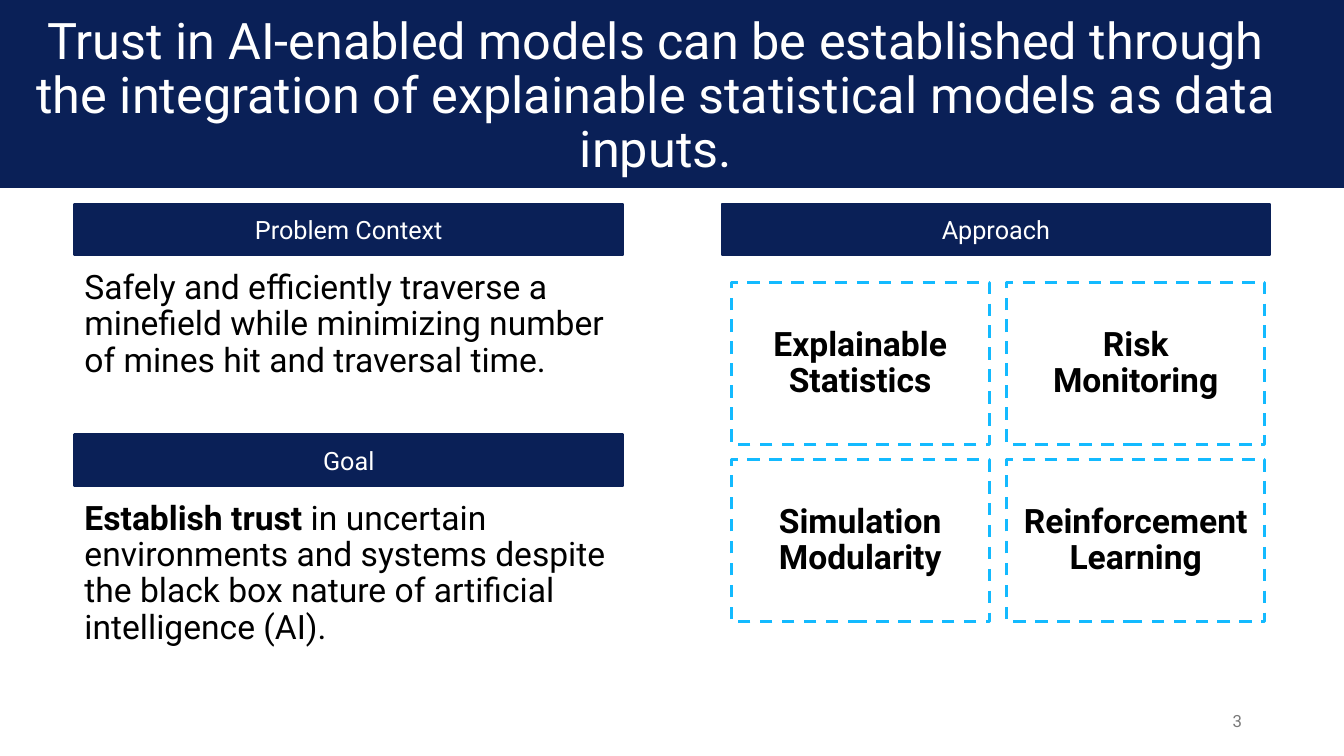
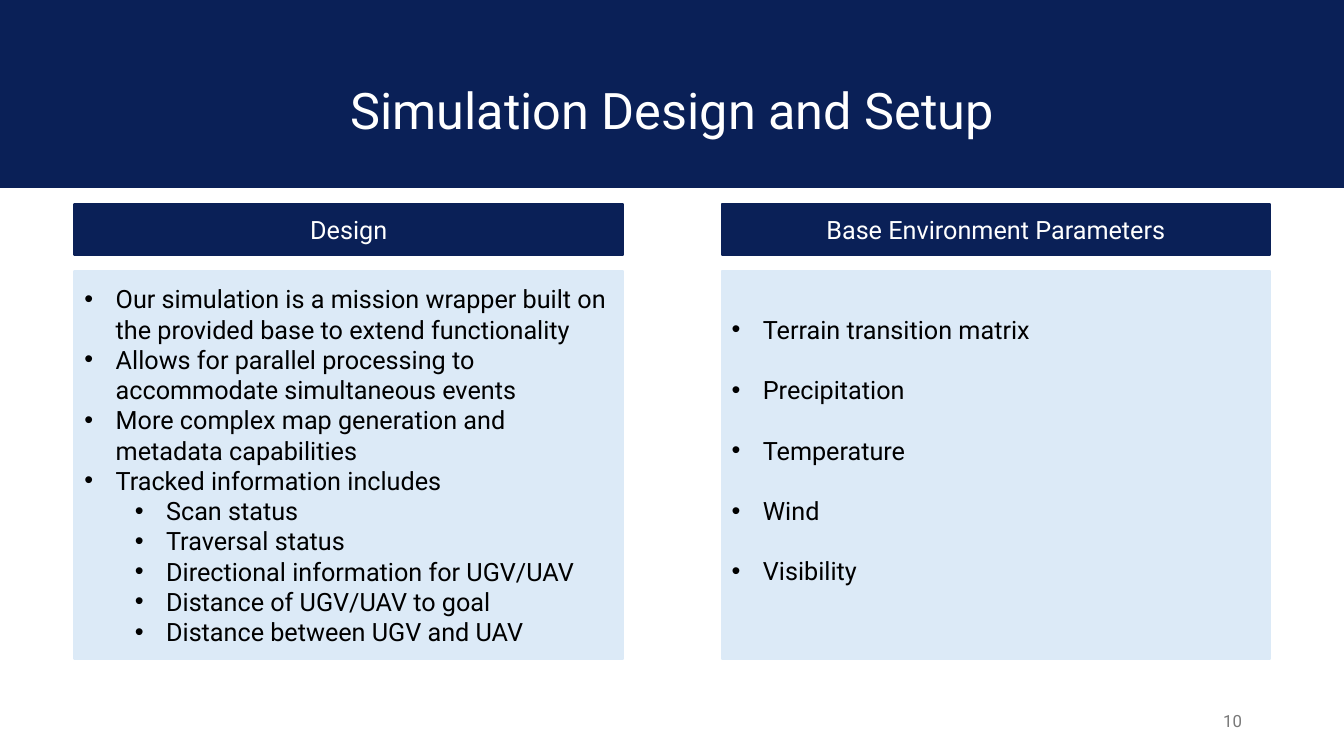
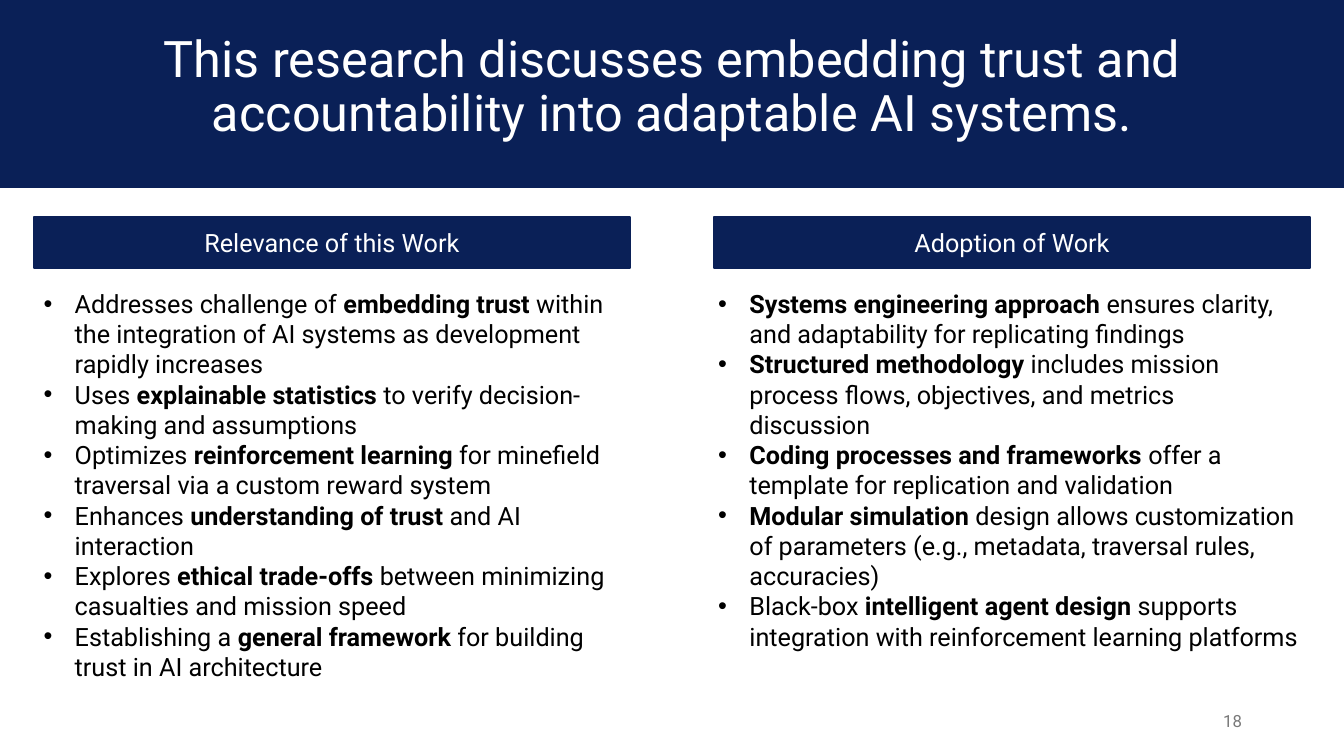
from pptx import Presentation
from pptx.dml.color import RGBColor as Rgb
from pptx.enum.dml import MSO_LINE as Dash
from pptx.enum.shapes import MSO_SHAPE as Kind
from pptx.enum.text import MSO_ANCHOR as Anchor, PP_ALIGN as Align
from pptx.oxml.ns import qn
from pptx.util import Inches, Pt
from lxml.etree import SubElement as Sub

# Shared look; boxes are (left, top, width, height) in percent of the slide
WIDE, HIGH = Inches(13.33), Inches(7.5)
HUE = {"navy": "0A2057", "pale": "DCEAF7", "sky": "13BAFF",
       "white": "FFFFFF", "black": "000000", "grey": "797979"}
FONT = "Roboto"
LEFT, MID, RIGHT = Align.LEFT, Align.CENTER, Align.RIGHT
BAND = (0, 0, 100, 24.7)
PAGE = (70.65, 92.67, 22.5, 5.33)
BAR = 6.8  # height of a heading bar
STYLE = {
    "title": {"size": 36, "hue": "white", "align": MID, "lead": 0.9},
    "head": {"size": 18, "hue": "white", "align": MID},
    "page": {"size": 12, "hue": "grey", "align": RIGHT},
    "body": {"size": 24, "hue": "black", "align": LEFT, "lead": 0.9},
    "card": {"size": 24, "hue": "black", "align": MID, "lead": 0.9},
    "list": {"size": 18, "hue": "black", "align": LEFT, "mark": "•"},
}


def place(box):
    x, y, w, h = box
    return [round(v * side / 100) for v, side in
            ((x, WIDE), (y, HIGH), (w, WIDE), (h, HIGH))]


def bullet(para, mark):
    """Hang the mark; a second level sits half an inch further in."""
    props = para._p.get_or_add_pPr()
    props.set("marL", str(Inches(0.31 + 0.5 * para.level)))
    props.set("indent", str(Inches(-0.31)))
    Sub(props, qn("a:buFont")).set("typeface", "Arial")
    Sub(props, qn("a:buChar")).set("char", mark)


def write(shape, lines, style, anchor=Anchor.MIDDLE, gap=0):
    """Fill a shape; ** turns bold on and off, a leading > is level two."""
    look, frame = STYLE[style], shape.text_frame
    frame.word_wrap, frame.vertical_anchor = True, anchor
    for i, line in enumerate(lines):
        para = frame.add_paragraph() if i else frame.paragraphs[0]
        form = {"level": int(line.startswith(">")), "alignment": look["align"],
                "line_spacing": look.get("lead", 1.0),
                "space_before": Pt(gap if i else 0)}
        for key, val in form.items():
            setattr(para, key, val)
        if "mark" in look:
            bullet(para, look["mark"])
        for n, part in enumerate(line.lstrip(">").split("**")):
            if not part:
                continue
            run = para.add_run()
            run.text = part
            form = {"name": FONT, "size": Pt(look["size"]), "bold": n % 2 == 1}
            for key, val in form.items():
                setattr(run.font, key, val)
            run.font.color.rgb = Rgb.from_string(HUE[look["hue"]])


def block(slide, box, fill=None, edge=None, width=1.5, dash=None):
    shape = slide.shapes.add_shape(Kind.RECTANGLE, *place(box))
    shape.shadow.inherit = False
    if fill:
        shape.fill.solid()
        shape.fill.fore_color.rgb = Rgb.from_string(HUE[fill])
    else:
        shape.fill.background()
    shape.line.color.rgb = Rgb.from_string(HUE[edge or fill])
    shape.line.width = Pt(width)
    if dash:
        shape.line.dash_style = dash
    return shape


def label(slide, box, lines, style, anchor=Anchor.MIDDLE):
    write(slide.shapes.add_textbox(*place(box)), lines, style, anchor)


def start(deck, title, box, page):
    """Add a slide with its title band and page number."""
    slide = deck.slides.add_slide(deck.slide_layouts[6])
    block(slide, BAND, "navy")
    label(slide, box, [title], "title")
    label(slide, PAGE, [page], "page")
    return slide


def header(slide, box, text):
    """Put a heading bar on top of the box."""
    x, y, w, _ = box
    write(block(slide, (x, y, w, BAR), "navy"), [text], "head")


def panel(slide, box, head, lines, style, drop, shift=0):
    """Heading bar over plain text; shift moves the text's left edge."""
    x, y, w, h = box
    header(slide, box, head)
    label(slide, (x + shift, y + drop, w - shift, h - drop), lines, style,
          Anchor.TOP)


def tinted(slide, box, head, lines, gap=0, lift=0.05):
    """Heading bar over a pale box with a list."""
    x, y, w, h = box
    drop = 8.93
    header(slide, box, head)
    shape = block(slide, (x, y + drop, w, h - drop), "pale")
    shape.text_frame.margin_bottom = Inches(lift)
    write(shape, lines, "list", gap=gap)


def cards(slide, box, head, names):
    """Heading bar over a two-column grid of dashed cards."""
    x, y, _, _ = box
    wide, high = 19.2, 21.47
    header(slide, box, head)
    for i, name in enumerate(names):
        row, col = divmod(i, 2)
        spot = (x + 0.7 + col * (wide + 1.3), y + 10.4 + row * (high + 2),
                wide, high)
        card = block(slide, spot, edge="sky", width=2.25, dash=Dash.DASH)
        write(card, [f"**{name}**"], "card")


def main():
    deck = Presentation()
    deck.slide_width, deck.slide_height = WIDE, HIGH
    near, far, wide, top = 5.55, 53.7, 40.8, 26.93

    # Context, goal and approach
    slide = start(deck, "Trust in AI-enabled models can be established through "
                  "the integration of explainable statistical models as data "
                  "inputs.", (1.3, 3.2, 95, 19.33), "3")
    panel(slide, (near, top, wide, 23.5), "Problem Context",
          ["Safely and efficiently traverse a minefield while minimizing "
           "number of mines hit and traversal time."], "body", 8.2)
    panel(slide, (near, 57.47, wide, 28), "Goal",
          ["**Establish trust** in uncertain environments and systems despite "
           "the black box nature of artificial intelligence (AI)."],
          "body", 8.2)
    cards(slide, (far, top, wide, 56), "Approach",
          ["Explainable Statistics", "Risk Monitoring",
           "Simulation Modularity", "Reinforcement Learning"])

    # Simulation design
    slide = start(deck, "Simulation Design and Setup",
                  (6.9, 5.33, 86.25, 19.33), "10")
    tinted(slide, (near, top, wide, 60.27), "Design", [
        "Our simulation is a mission wrapper built on the provided base to "
        "extend functionality",
        "Allows for parallel processing to accommodate simultaneous events",
        "More complex map generation and metadata capabilities",
        "Tracked information includes",
        ">Scan status",
        ">Traversal status",
        ">Directional information for UGV/UAV",
        ">Distance of UGV/UAV to goal",
        ">Distance between UGV and UAV"])
    tinted(slide, (far, top, wide, 60.27), "Base Environment Parameters",
           ["Terrain transition matrix", "Precipitation", "Temperature",
            "Wind", "Visibility"], gap=21.6, lift=0.35)

    # Relevance and adoption
    slide = start(deck, "This research discusses embedding trust and "
                  "accountability into adaptable AI systems.",
                  (6.9, 2, 86.25, 19.33), "18")
    wide, top = 44.4, 28.67
    panel(slide, (2.5, top, wide, 62.67), "Relevance of this Work", [
        "Addresses challenge of **embedding trust** within the integration of "
        "AI systems as development rapidly increases",
        "Uses **explainable statistics** to verify decision-making and "
        "assumptions",
        "Optimizes **reinforcement learning** for minefield traversal via a "
        "custom reward system",
        "Enhances **understanding of trust** and AI interaction",
        "Explores **ethical trade-offs** between minimizing casualties and "
        "mission speed",
        "Establishing a **general framework** for building trust in AI "
        "architecture"], "list", 8.8)
    panel(slide, (53.1, top, wide, 54.5), "Adoption of Work", [
        "**Systems engineering approach** ensures clarity, and adaptability "
        "for replicating findings",
        "**Structured methodology** includes mission process flows, "
        "objectives, and metrics discussion",
        "**Coding processes and frameworks** offer a template for replication "
        "and validation",
        "**Modular simulation** design allows customization of parameters "
        "(e.g., metadata, traversal rules, accuracies)",
        "Black-box **intelligent agent design** supports integration with "
        "reinforcement learning platforms"], "list", 8.8, shift=-0.4)

    deck.save("out.pptx")


if __name__ == "__main__":
    main()
